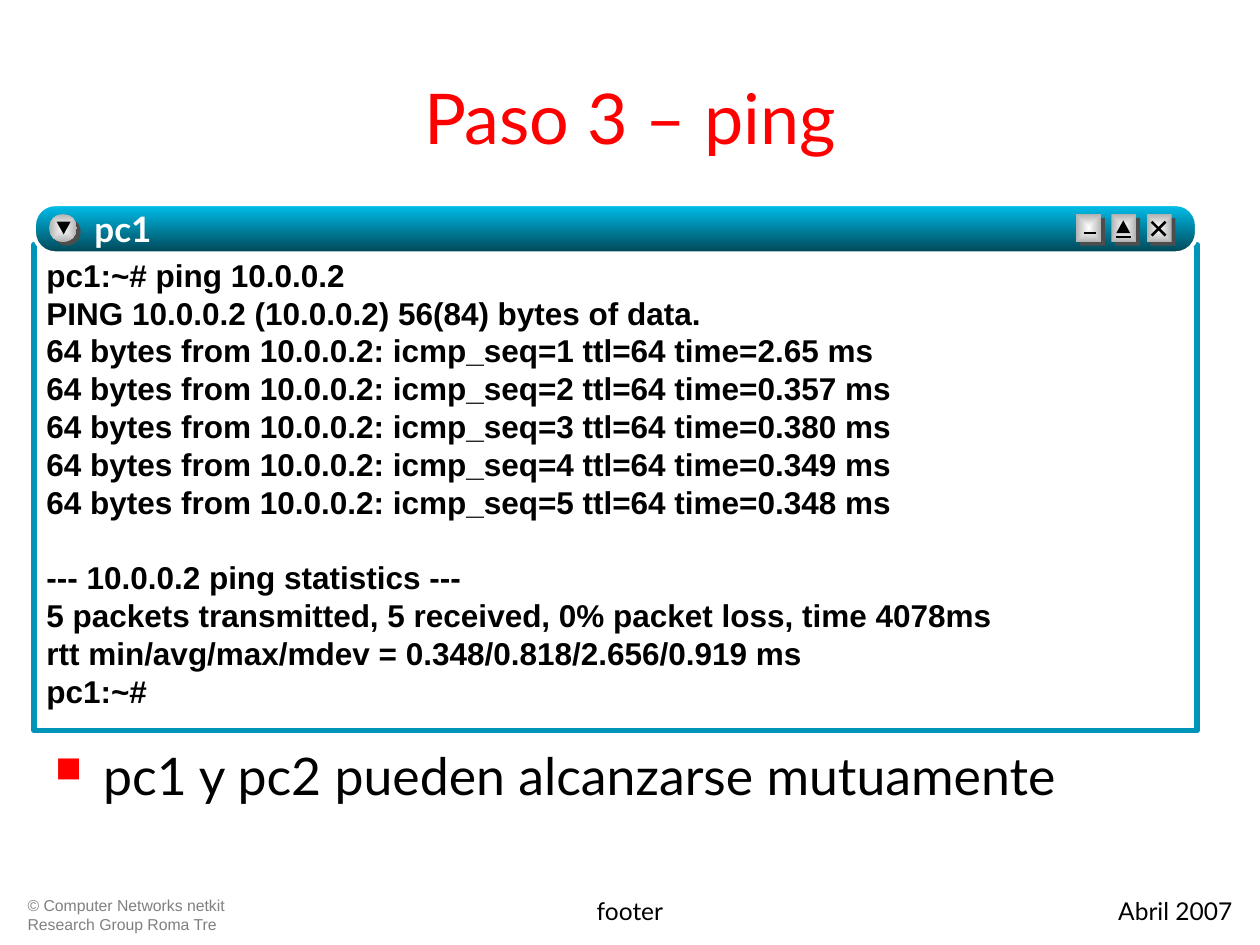
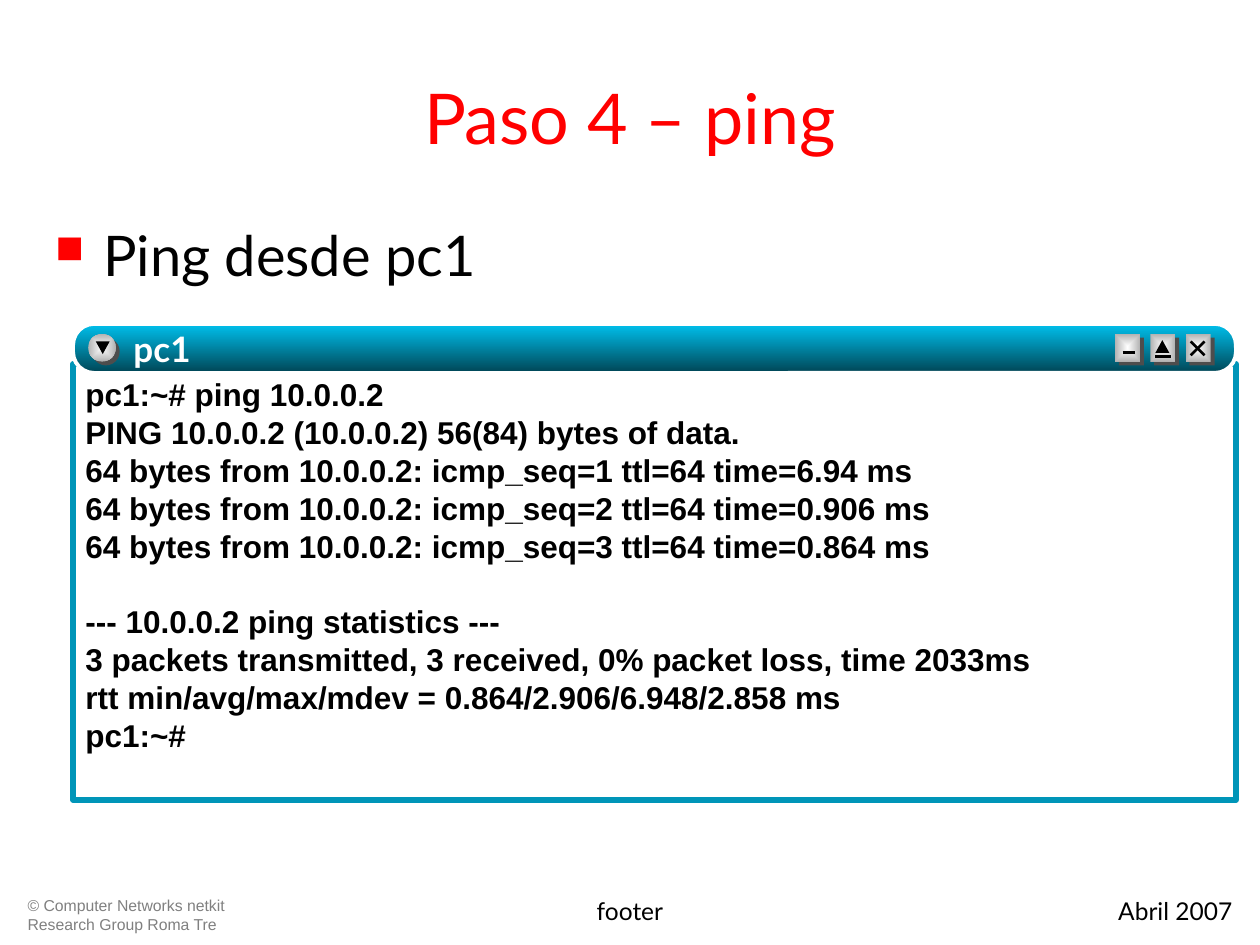
import pptx
import pptx.util
from lxml import etree
from pptx.dml.color import RGBColor
from pptx.enum.shapes import MSO_CONNECTOR, MSO_SHAPE
from pptx.enum.text import MSO_ANCHOR, PP_ALIGN
from pptx.oxml import parse_xml
from pptx.oxml.ns import nsdecls, qn
from pptx.util import Inches, Pt

RED = RGBColor(0xFF, 0x00, 0x00)
BLACK = RGBColor(0x00, 0x00, 0x00)
WHITE = RGBColor(0xFF, 0xFF, 0xFF)
GRAY = RGBColor(0x80, 0x80, 0x80)
SHADE = RGBColor(0x4D, 0x4D, 0x4D)
BUTTON_LIGHT = RGBColor(0xFE, 0xFE, 0xFE)
BUTTON_DARK = RGBColor(0xB2, 0xB2, 0xB2)
FRAME = RGBColor(0x00, 0x95, 0xB8)
BAR_TOP = RGBColor(0x00, 0xC1, 0xEE)
BAR_BOTTOM = RGBColor(0x00, 0x45, 0x55)

BODY_FONT = "Lato"
CODE_FONT = "Arial"
CODE_LINE = Pt(21.6)
WINDOW_WIDTH = 9.23
BUTTON_TOP = 0.08
BUTTON_HEIGHT = 0.22

# Title, terminal left and top, frame height, output blocks, bullet text, its top and size
STEPS = [
    ("Paso 3 – ping", 0.27, 1.62, 3.86,
     [["pc1:~# ping 10.0.0.2",
       "PING 10.0.0.2 (10.0.0.2) 56(84) bytes of data.",
       "64 bytes from 10.0.0.2: icmp_seq=1 ttl=64 time=2.65 ms",
       "64 bytes from 10.0.0.2: icmp_seq=2 ttl=64 time=0.357 ms",
       "64 bytes from 10.0.0.2: icmp_seq=3 ttl=64 time=0.380 ms",
       "64 bytes from 10.0.0.2: icmp_seq=4 ttl=64 time=0.349 ms",
       "64 bytes from 10.0.0.2: icmp_seq=5 ttl=64 time=0.348 ms"],
      ["--- 10.0.0.2 ping statistics ---",
       "5 packets transmitted, 5 received, 0% packet loss, time 4078ms",
       "rtt min/avg/max/mdev = 0.348/0.818/2.656/0.919 ms",
       "pc1:~#"]],
     "pc1 y pc2 pueden alcanzarse mutuamente", 5.85, 29.6),
    ("Paso 4 – ping", 0.58, 2.57, 3.46,
     [["pc1:~# ping 10.0.0.2",
       "PING 10.0.0.2 (10.0.0.2) 56(84) bytes of data.",
       "64 bytes from 10.0.0.2: icmp_seq=1 ttl=64 time=6.94 ms",
       "64 bytes from 10.0.0.2: icmp_seq=2 ttl=64 time=0.906 ms",
       "64 bytes from 10.0.0.2: icmp_seq=3 ttl=64 time=0.864 ms"],
      ["--- 10.0.0.2 ping statistics ---",
       "3 packets transmitted, 3 received, 0% packet loss, time 2033ms",
       "rtt min/avg/max/mdev = 0.864/2.906/6.948/2.858 ms",
       "pc1:~#"]],
     "Ping desde pc1", 1.70, 32),
]

# Title bar buttons: shape, left and width, measured from the window
BUTTONS = [
    (MSO_SHAPE.OVAL, 0.12, 0.22),
    (MSO_SHAPE.RECTANGLE, 8.27, 0.20),
    (MSO_SHAPE.RECTANGLE, 8.55, 0.20),
    (MSO_SHAPE.RECTANGLE, 8.83, 0.20),
]
# Triangles: left, top, rotation
TRIANGLES = [(0.18, 0.14, 180), (8.59, 0.13, 0)]
# Strokes of minimize, maximize and close: x1, y1, x2, y2
STROKES = [
    (8.33, 0.23, 8.43, 0.23),
    (8.59, 0.26, 8.71, 0.26),
    (8.87, 0.25, 8.98, 0.14),
    (8.87, 0.14, 8.98, 0.25),
]


def add_text(slide, box, lines, size, color, font=BODY_FONT, align=PP_ALIGN.LEFT):
    textbox = slide.shapes.add_textbox(*(Inches(length) for length in box))
    frame = textbox.text_frame
    frame.word_wrap = True
    frame.text = "\n".join(lines)
    for paragraph in frame.paragraphs:
        paragraph.alignment = align
        paragraph.font.size = Pt(size)
        paragraph.font.name = font
        paragraph.font.color.rgb = color
    return frame


def add_filled(slide, kind, box, *colors):
    """Add a borderless shape; two colors make a top-down gradient."""
    shape = slide.shapes.add_shape(kind, *(Inches(length) for length in box))
    shape.shadow.inherit = False
    shape.line.fill.background()
    if len(colors) == 1:
        shape.fill.solid()
        shape.fill.fore_color.rgb = colors[0]
    else:
        shape.fill.gradient()
        shape.fill.gradient_angle = 270
        for stop, color in zip(shape.fill.gradient_stops, colors):
            stop.color.rgb = color
    return shape


presentation = pptx.Presentation()
presentation.slide_width = Inches(10)
presentation.slide_height = Inches(7.5)

for title, left, top, height, blocks, bullet, bullet_top, bullet_size in STEPS:
    slide = presentation.slides.add_slide(presentation.slide_layouts[6])

    # Title and footers
    title_frame = add_text(slide, (0.5, 0.3, 9, 1.25), [title], 40, RED,
                           align=PP_ALIGN.CENTER)
    title_frame.vertical_anchor = MSO_ANCHOR.MIDDLE
    add_text(slide, (0.12, 7.06, 1.89, 0.36),
             ["© Computer Networks netkit", "Research Group Roma Tre"],
             9, GRAY, CODE_FONT)
    add_text(slide, (2.56, 7.06, 4.88, 0.36), ["footer"], 14, BLACK,
             align=PP_ALIGN.CENTER)
    add_text(slide, (7.6, 7.06, 2.28, 0.36), ["Abril 2007"], 14, BLACK,
             align=PP_ALIGN.RIGHT)

    # Terminal frame with its output
    terminal = add_filled(slide, MSO_SHAPE.RECTANGLE,
                          (left, top + 0.32, WINDOW_WIDTH, height), WHITE)
    terminal.line.color.rgb = FRAME
    terminal.line.width = Pt(3)
    output = terminal.text_frame
    output.word_wrap = True
    output.vertical_anchor = MSO_ANCHOR.TOP
    output.margin_top = Inches(0.09)
    output.text = "\n".join(line for block in blocks for line in block)
    for paragraph in output.paragraphs:
        paragraph.alignment = PP_ALIGN.LEFT
        paragraph.line_spacing = CODE_LINE
        paragraph.font.size = Pt(18)
        paragraph.font.bold = True
        paragraph.font.name = CODE_FONT
        paragraph.font.color.rgb = BLACK
    output.paragraphs[len(blocks[0])].space_before = CODE_LINE

    # Title bar
    bar = add_filled(slide, MSO_SHAPE.ROUNDED_RECTANGLE,
                     (left, top, WINDOW_WIDTH, 0.39), BAR_TOP, BAR_BOTTOM)
    bar.adjustments[0] = 0.43
    bar.line.color.rgb = WHITE
    bar.line.width = Pt(2.25)

    # Buttons, each over its own shade
    for kind, offset, width in BUTTONS:
        x, y = left + offset, top + BUTTON_TOP
        add_filled(slide, kind, (x + 0.03, y + 0.03, width, BUTTON_HEIGHT), SHADE)
        button = add_filled(slide, kind, (x, y, width, BUTTON_HEIGHT),
                            BUTTON_LIGHT, BUTTON_DARK)
        linear = button._element.spPr.find(qn("a:gradFill")).find(qn("a:lin"))
        linear.getparent().replace(linear, parse_xml(
            f'<a:path {nsdecls("a")} path="rect">'
            '<a:fillToRect l="50000" t="50000" r="50000" b="50000"/></a:path>'))

    # Button symbols
    for x, y, rotation in TRIANGLES:
        triangle = add_filled(slide, MSO_SHAPE.ISOSCELES_TRIANGLE,
                              (left + x, top + y, 0.11, 0.1), BLACK)
        triangle.rotation = rotation
    for x1, y1, x2, y2 in STROKES:
        stroke = slide.shapes.add_connector(
            MSO_CONNECTOR.STRAIGHT, Inches(left + x1), Inches(top + y1),
            Inches(left + x2), Inches(top + y2))
        stroke.line.color.rgb = BLACK
        stroke.line.width = Pt(1.5)
        etree.SubElement(stroke._element.spPr, qn("a:effectLst"))

    # Host name with a text shadow
    host = add_text(slide, (left + 0.48, top, 2.6, 0.39), ["pc1"], 20, WHITE)
    host.margin_left = host.margin_right = host.margin_top = host.margin_bottom = 0
    host.vertical_anchor = MSO_ANCHOR.MIDDLE
    host.paragraphs[0].font.bold = True
    host.paragraphs[0].runs[0]._r.get_or_add_rPr().append(parse_xml(
        f'<a:effectLst {nsdecls("a")}><a:outerShdw dist="17961" dir="2700000">'
        '<a:srgbClr val="000000"/></a:outerShdw></a:effectLst>'))

    # Bullet
    body = add_text(slide, (0.34, bullet_top, 9.23, 0.98), [bullet],
                    bullet_size, BLACK)
    properties = body.paragraphs[0]._p.get_or_add_pPr()
    properties.set("marL", str(Inches(0.38)))
    properties.set("indent", str(-Inches(0.38)))
    marks = (f'<a:buClr {nsdecls("a")}><a:srgbClr val="{RED}"/></a:buClr>',
             f'<a:buSzPct {nsdecls("a")} val="70000"/>',
             f'<a:buChar {nsdecls("a")} char="■"/>')
    for position, mark in enumerate(marks):
        properties.insert(position, parse_xml(mark))

presentation.save("out.pptx")
